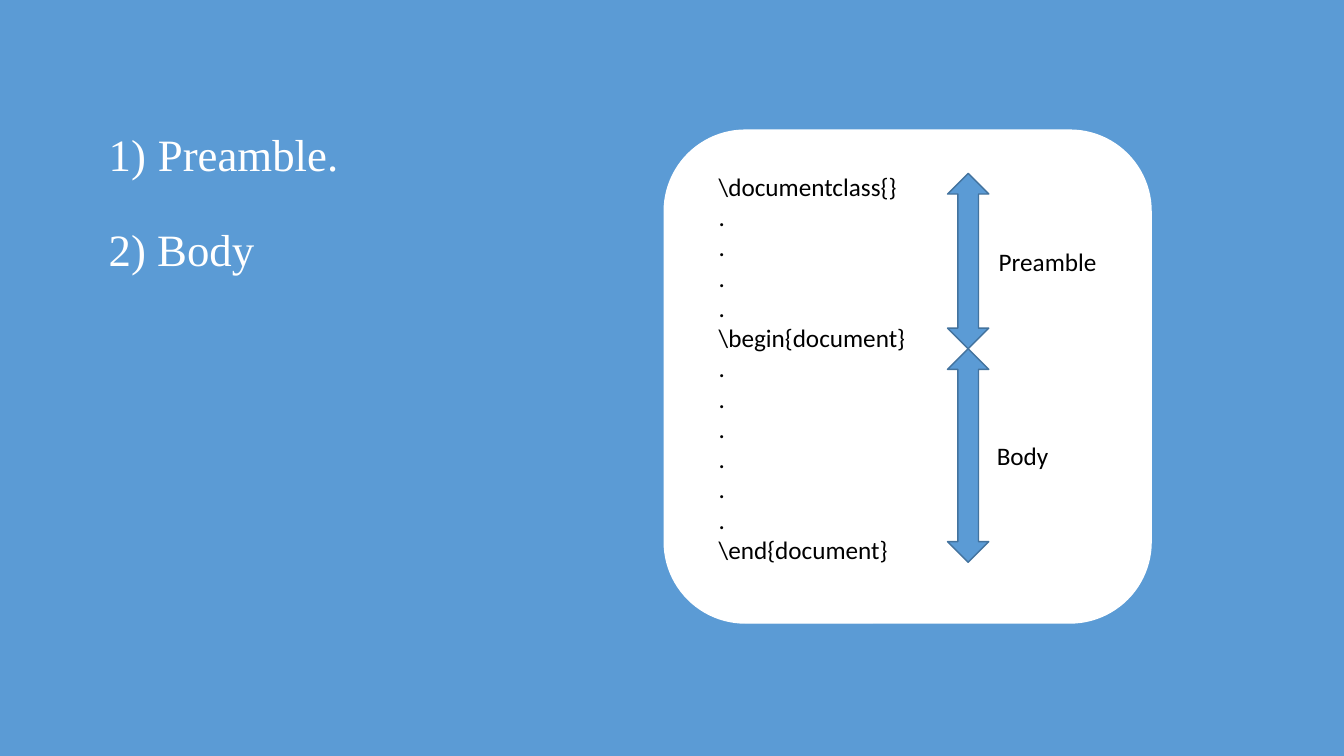
from dataclasses import dataclass

import pptx
import pptx.dml.color
import pptx.enum.shapes
import pptx.util
from lxml import etree

Cm = pptx.util.Cm
Pt = pptx.util.Pt
RGBColor = pptx.dml.color.RGBColor
MSO_SHAPE = pptx.enum.shapes.MSO_SHAPE


@dataclass(frozen=True)
class Theme:
    blue: RGBColor = RGBColor(0x5B, 0x9B, 0xD5)
    dark_blue: RGBColor = RGBColor(0x43, 0x73, 0x9E)
    white: RGBColor = RGBColor(0xFF, 0xFF, 0xFF)
    black: RGBColor = RGBColor(0, 0, 0)
    list_font: str = "Times New Roman"
    code_font: str = "Calibri"
    list_size: Pt = Pt(32)
    code_size: Pt = Pt(18)
    line_width: Pt = Pt(1)


THEME = Theme()
LABEL_WIDTH, LABEL_HEIGHT = 3.07, 1.02
CODE_LINES = (
    ["\\documentclass{}"] + ["."] * 4
    + ["\\begin{document}"] + ["."] * 6
    + ["\\end{document}"]
)


def add_text(slide, box, text, font_name, size, color):
    text_box = slide.shapes.add_textbox(*map(Cm, box))
    text_frame = text_box.text_frame
    text_frame.word_wrap = True
    text_frame.text = text
    for paragraph in text_frame.paragraphs:
        for run in paragraph.runs:
            run.font.name = font_name
            run.font.size = size
            run.font.color.rgb = color
    return text_box


def add_filled_shape(slide, kind, box, fill, line):
    shape = slide.shapes.add_shape(kind, *map(Cm, box))
    shape.shadow.inherit = False
    shape.fill.solid()
    shape.fill.fore_color.rgb = fill
    shape.line.color.rgb = line
    shape.line.width = THEME.line_width
    return shape


def number_paragraph(paragraph, indent):
    """Give the paragraph automatic numbering of the form 1)."""
    properties = paragraph._p.get_or_add_pPr()
    properties.set("marL", str(indent))
    properties.set("indent", str(-indent))
    numbering = etree.SubElement(properties, pptx.oxml.ns.qn("a:buAutoNum"))
    numbering.set("type", "arabicParenR")


def add_parts_list(slide, left, top, width):
    style = (THEME.list_font, THEME.list_size, THEME.white)
    preamble = add_text(slide, (left, top, width, 1.63), "Preamble.", *style)
    number_paragraph(preamble.text_frame.paragraphs[0], Cm(1.24))
    add_text(slide, (left, top + 2.39, width, 1.63), "2) Body", *style)


def add_document_card(slide, left, top, width, height):
    """Draw the document skeleton with an arrow and label for each part."""
    style = (THEME.code_font, THEME.code_size, THEME.black)
    add_filled_shape(slide, MSO_SHAPE.ROUNDED_RECTANGLE,
                     (left, top, width, height), THEME.white, THEME.white)
    add_text(slide, (left + 1.12, top + 0.91, 5.44, 10.26),
             "\n".join(CODE_LINES), *style)

    arrow_left, arrow_top, arrow_width = left + 7.14, top + 1.09, 1.04
    for label, arrow_height, gap in (("Preamble", 4.42, 0), ("Body", 5.38, -0.05)):
        add_filled_shape(slide, MSO_SHAPE.UP_DOWN_ARROW,
                         (arrow_left, arrow_top, arrow_width, arrow_height),
                         THEME.blue, THEME.dark_blue)
        label_top = arrow_top + (arrow_height - LABEL_HEIGHT) / 2
        add_text(slide, (arrow_left + arrow_width + gap, label_top,
                         LABEL_WIDTH, LABEL_HEIGHT), label, *style)
        arrow_top += arrow_height


def main():
    presentation = pptx.Presentation()
    presentation.slide_width = Cm(33.87)
    presentation.slide_height = Cm(19.05)
    slide = presentation.slides.add_slide(presentation.slide_layouts[6])
    slide.background.fill.solid()
    slide.background.fill.fore_color.rgb = THEME.blue
    add_parts_list(slide, 2.49, 3.07, 8.51)
    add_document_card(slide, 16.74, 3.28, 12.27, 12.42)
    presentation.save("out.pptx")


if __name__ == "__main__":
    main()
